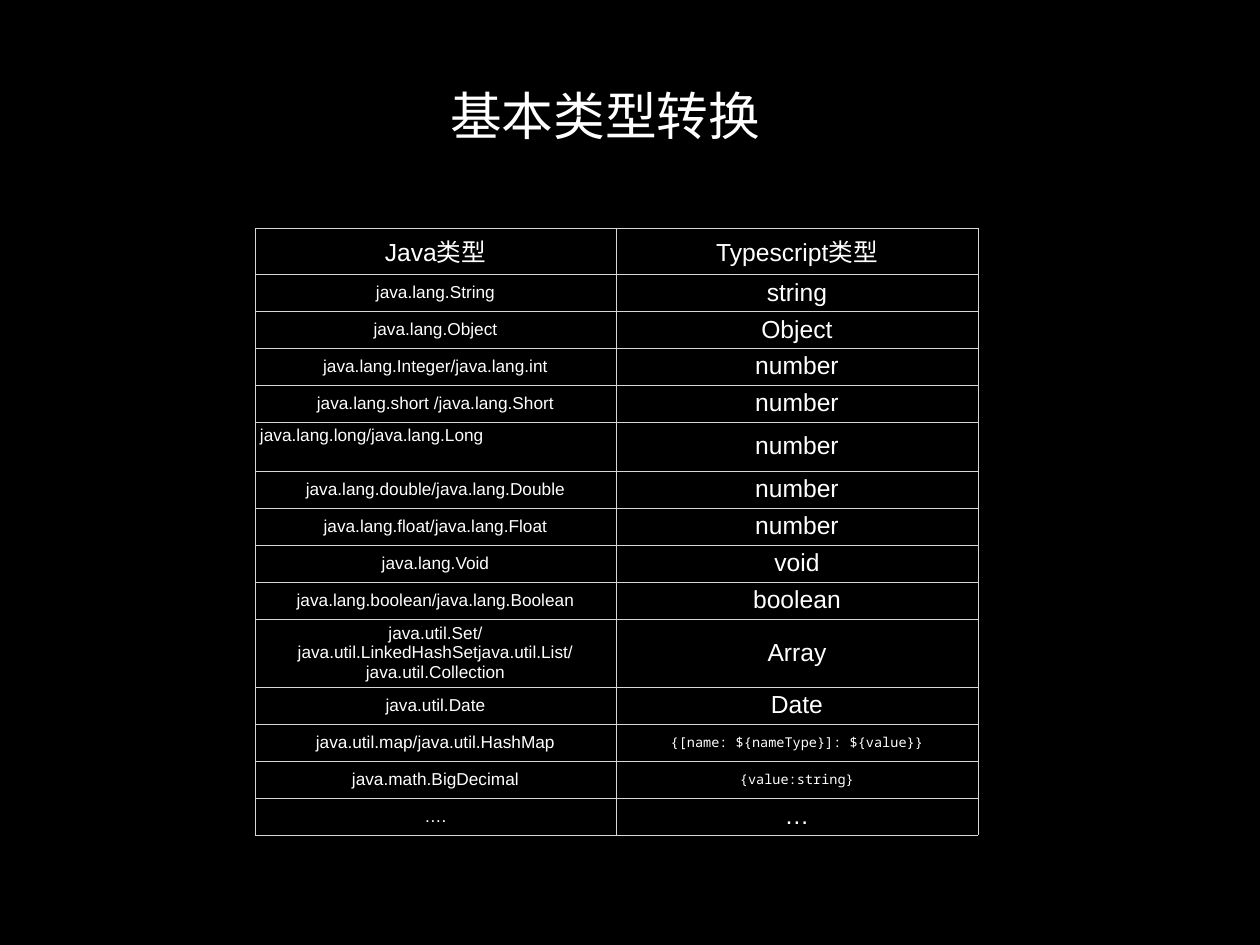
import dataclasses

import pptx
import pptx.dml.color
import pptx.enum.text
import pptx.oxml
import pptx.oxml.ns
import pptx.util

ALIGN = pptx.enum.text.PP_ALIGN
ANCHOR = pptx.enum.text.MSO_ANCHOR
PX = 914400 / 88.6


@dataclasses.dataclass(frozen=True)
class Theme:
    back: str = "000000"
    ink: str = "FFFFFF"
    rule: str = "D6D7D6"
    latin: str = "Arial"
    chinese: str = "Noto Sans CJK SC"
    mono: str = "Noto Sans Mono"
    title_size: int = 42
    type_size: int = 20
    java_size: int = 14
    code_size: int = 11


THEME = Theme()
HEADER = ("Java类型", "Typescript类型")
LONG_NAME = "java.lang.long/java.lang.Long"
COLLECTION_NAME = "java.util.Set/java.util.LinkedHashSetjava.util.List/java.util.Collection"
TYPE_PAIRS = [
    ("java.lang.String", "string"),
    ("java.lang.Object", "Object"),
    ("java.lang.Integer/java.lang.int", "number"),
    ("java.lang.short /java.lang.Short", "number"),
    (LONG_NAME, "number"),
    ("java.lang.double/java.lang.Double", "number"),
    ("java.lang.float/java.lang.Float", "number"),
    ("java.lang.Void", "void"),
    ("java.lang.boolean/java.lang.Boolean", "boolean"),
    (COLLECTION_NAME, "Array"),
    ("java.util.Date", "Date"),
    ("java.util.map/java.util.HashMap", "{[name: ${nameType}]: ${value}}"),
    ("java.math.BigDecimal", "{value:string}"),
    ("….", "…"),
]
ROW_HEIGHT = 37
TALL_ROWS = {HEADER[0]: 46, LONG_NAME: 49, COLLECTION_NAME: 68}


def px(length):
    return pptx.util.Emu(round(length * PX))


def write_text(frame, text, *, size, font=THEME.latin, color=THEME.ink, align=ALIGN.CENTER):
    para = frame.paragraphs[0]
    para.alignment = align
    span = para.add_run()
    span.text = text
    span.font.size = pptx.util.Pt(size)
    span.font.bold = False
    span.font.name = font
    span.font.color.rgb = pptx.dml.color.RGBColor.from_string(color)
    east_asian = pptx.oxml.parse_xml(
        f'<a:ea {pptx.oxml.ns.nsdecls("a")} typeface="{THEME.chinese}"/>'
    )
    span.font._element.append(east_asian)


class SlideBuilder:
    def __init__(self, deck, theme):
        self.theme = theme
        self.page = deck.slides.add_slide(deck.slide_layouts[5])
        fill = self.page.background.fill
        fill.solid()
        fill.fore_color.rgb = pptx.dml.color.RGBColor.from_string(theme.back)

    def title(self, text, left, top, width, height):
        box = self.page.shapes.title
        box.left, box.top, box.width, box.height = map(px, (left, top, width, height))
        frame = box.text_frame
        frame.auto_size = pptx.enum.text.MSO_AUTO_SIZE.NONE
        frame.word_wrap = True
        frame.vertical_anchor = ANCHOR.MIDDLE
        frame.margin_left = frame.margin_right = px(3)
        frame.margin_top = frame.margin_bottom = px(3)
        write_text(frame, text, size=self.theme.title_size,
                   font=self.theme.chinese, align=ALIGN.LEFT)

    def border(self, cell):
        properties = cell._tc.get_or_add_tcPr()
        for side in ("lnL", "lnR", "lnT", "lnB"):
            properties.append(pptx.oxml.parse_xml(
                f'<a:{side} {pptx.oxml.ns.nsdecls("a")} w="3175"><a:solidFill>'
                f'<a:srgbClr val="{self.theme.rule}"/></a:solidFill></a:{side}>'
            ))

    def cell(self, cell, text, **style):
        self.border(cell)
        cell.fill.background()
        cell.margin_left = cell.margin_right = px(5)
        cell.margin_top = cell.margin_bottom = px(4)
        cell.vertical_anchor = ANCHOR.TOP if text == LONG_NAME else ANCHOR.MIDDLE
        write_text(cell.text_frame, text, **style)

    def cell_style(self, text, column):
        if text in HEADER:
            return {"size": self.theme.type_size}
        if text == LONG_NAME:
            return {"size": self.theme.java_size, "align": ALIGN.LEFT}
        if text.startswith("{"):
            return {"size": self.theme.code_size, "font": self.theme.mono}
        return {"size": self.theme.type_size if column else self.theme.java_size}

    def table(self, rows, left, top, widths):
        heights = [TALL_ROWS.get(row[0], ROW_HEIGHT) for row in rows]
        frame = self.page.shapes.add_table(
            len(rows), len(widths), px(left), px(top), px(sum(widths)), px(sum(heights))
        )
        table = frame.table
        table.first_row = table.horz_banding = False
        for column, width in zip(table.columns, widths):
            column.width = px(width)
        for row_index, (row, height) in enumerate(zip(rows, heights)):
            table.rows[row_index].height = px(height)
            for column_index, text in enumerate(row):
                self.cell(table.cell(row_index, column_index), text,
                          **self.cell_style(text, column_index))


def main():
    deck = pptx.Presentation()
    deck.slide_width, deck.slide_height = px(1260), px(945)
    builder = SlideBuilder(deck, THEME)
    builder.title("基本类型转换", 447, 76, 813, 78)
    builder.table([HEADER, *TYPE_PAIRS], 255, 228, (361, 362))
    deck.save("out.pptx")


if __name__ == "__main__":
    main()
